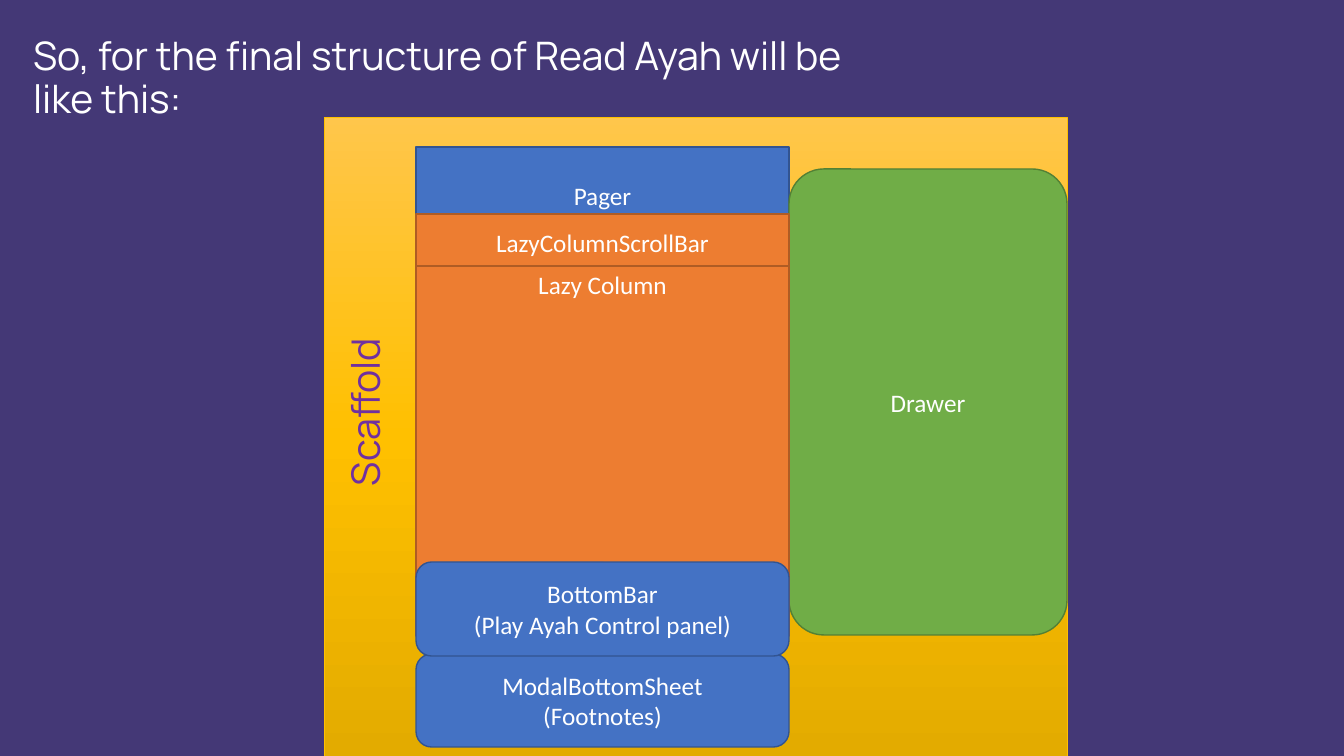
import copy
from dataclasses import dataclass

import pptx
import pptx.dml.color
import pptx.enum.shapes
import pptx.enum.text
import pptx.shapes.autoshape
import pptx.slide
import pptx.text.text
import pptx.util

SLIDE_WIDTH, SLIDE_HEIGHT = 1344, 756
EMU_PER_PX = 12192000 / SLIDE_WIDTH

COLORS = {
    "background": "443876",
    "white": "FFFFFF",
    "purple": "7030A0",
    "gold": "FFC000",
    "gold_light": "FFC64B",
    "gold_dark": "E3AB00",
    "blue": "4472C4",
    "blue_line": "325491",
    "orange": "ED7D31",
    "orange_line": "AF5C24",
    "green": "70AD47",
    "green_line": "538035",
}

SHAPE_TYPE = pptx.enum.shapes.MSO_SHAPE
ANCHOR = pptx.enum.text.MSO_ANCHOR
ALIGN = pptx.enum.text.PP_ALIGN

COLUMN_LEFT, COLUMN_WIDTH = 416, 373
DRAWER_LEFT = COLUMN_LEFT + COLUMN_WIDTH
SCAFFOLD_LEFT, SCAFFOLD_TOP, SCAFFOLD_RIGHT = 324, 117, 1067


@dataclass
class Component:
    lines: tuple[str, ...]
    top: int
    height: int
    color: str
    left: int = COLUMN_LEFT
    width: int = COLUMN_WIDTH
    kind: SHAPE_TYPE = SHAPE_TYPE.RECTANGLE
    label_offset: int | None = None  # px below the top edge; None centres the label


COMPONENTS = [
    Component(("Pager",), 147, 488, "blue", label_offset=33),
    Component(("Drawer",), 169, 466, "green", DRAWER_LEFT,
              SCAFFOLD_RIGHT - DRAWER_LEFT, SHAPE_TYPE.ROUNDED_RECTANGLE),
    Component(("LazyColumnScrollBar",), 214, 421, "orange", label_offset=13),
    Component(("Lazy Column",), 266, 370, "orange", label_offset=3),
    Component(("ModalBottomSheet", "(Footnotes)"), 654, 93, "blue",
              kind=SHAPE_TYPE.FLOWCHART_ALTERNATE_PROCESS),
    Component(("BottomBar", "(Play Ayah Control panel)"), 562, 94, "blue",
              kind=SHAPE_TYPE.FLOWCHART_ALTERNATE_PROCESS),
]


def px(length: int) -> pptx.util.Emu:
    return pptx.util.Emu(round(length * EMU_PER_PX))


def rgb(name: str) -> pptx.dml.color.RGBColor:
    return pptx.dml.color.RGBColor.from_string(COLORS[name])


def format_paragraph(paragraph: pptx.text.text._Paragraph, font: str, size: int,
                     color: str, alignment: ALIGN) -> None:
    paragraph.alignment = alignment
    paragraph.font.name = font
    paragraph.font.size = pptx.util.Pt(size)
    paragraph.font.color.rgb = rgb(color)


def format_heading(text_frame: pptx.text.text.TextFrame, text: str, color: str) -> None:
    text_frame.text = text
    text_frame.word_wrap = True
    text_frame.auto_size = pptx.enum.text.MSO_AUTO_SIZE.SHAPE_TO_FIT_TEXT
    text_frame.vertical_anchor = ANCHOR.TOP
    paragraph = text_frame.paragraphs[0]
    paragraph.line_spacing = 0.9
    format_paragraph(paragraph, "Manrope", 28, color, ALIGN.LEFT)


def add_title(slide: pptx.slide.Slide) -> None:
    title = slide.shapes.title
    title.left, title.top, title.width, title.height = map(px, (23, 32, 864, 105))
    format_heading(title.text_frame,
                   "So, for the final structure of Read Ayah will be like this:", "white")


def add_scaffold(slide: pptx.slide.Slide) -> None:
    scaffold = slide.shapes.add_shape(
        SHAPE_TYPE.RECTANGLE, px(SCAFFOLD_LEFT), px(SCAFFOLD_TOP),
        px(SCAFFOLD_RIGHT - SCAFFOLD_LEFT), px(SLIDE_HEIGHT - SCAFFOLD_TOP))
    scaffold.shadow.inherit = False
    scaffold.line.color.rgb = rgb("gold")
    scaffold.line.width = pptx.util.Pt(0.5)
    scaffold.fill.gradient()
    scaffold.fill.gradient_angle = 270
    first_stop = scaffold.element.xpath(".//a:gs")[0]
    first_stop.addnext(copy.deepcopy(first_stop))
    names = ("gold_light", "gold", "gold_dark")
    for index, (stop, name) in enumerate(zip(scaffold.fill.gradient_stops, names)):
        stop.position = index / 2
        stop.color.rgb = rgb(name)


def add_scaffold_label(slide: pptx.slide.Slide) -> None:
    label = slide.shapes.add_textbox(px(276), px(374), px(187), px(57))
    label.rotation = 270
    format_heading(label.text_frame, "Scaffold", "purple")


def add_component(slide: pptx.slide.Slide,
                  component: Component) -> pptx.shapes.autoshape.Shape:
    shape = slide.shapes.add_shape(
        component.kind, px(component.left), px(component.top),
        px(component.width), px(component.height))
    if component.kind == SHAPE_TYPE.ROUNDED_RECTANGLE:
        shape.adjustments[0] = 0.125
    shape.shadow.inherit = False
    shape.fill.solid()
    shape.fill.fore_color.rgb = rgb(component.color)
    shape.line.color.rgb = rgb(f"{component.color}_line")
    shape.line.width = pptx.util.Pt(1)
    text_frame = shape.text_frame
    text_frame.word_wrap = True
    text_frame.text = "\n".join(component.lines)
    if component.label_offset is None:
        text_frame.vertical_anchor = ANCHOR.MIDDLE
    else:
        text_frame.vertical_anchor = ANCHOR.TOP
        text_frame.margin_top = px(component.label_offset)
    for paragraph in text_frame.paragraphs:
        format_paragraph(paragraph, "Calibri", 18, "white", ALIGN.CENTER)
    return shape


def main() -> None:
    presentation = pptx.Presentation()
    presentation.slide_width = px(SLIDE_WIDTH)
    presentation.slide_height = px(SLIDE_HEIGHT)
    slide = presentation.slides.add_slide(presentation.slide_layouts.get_by_name("Title Only"))
    slide.background.fill.solid()
    slide.background.fill.fore_color.rgb = rgb("background")
    add_title(slide)
    add_scaffold(slide)
    for component in COMPONENTS:
        add_component(slide, component)
    add_scaffold_label(slide)
    presentation.save("out.pptx")


if __name__ == "__main__":
    main()
